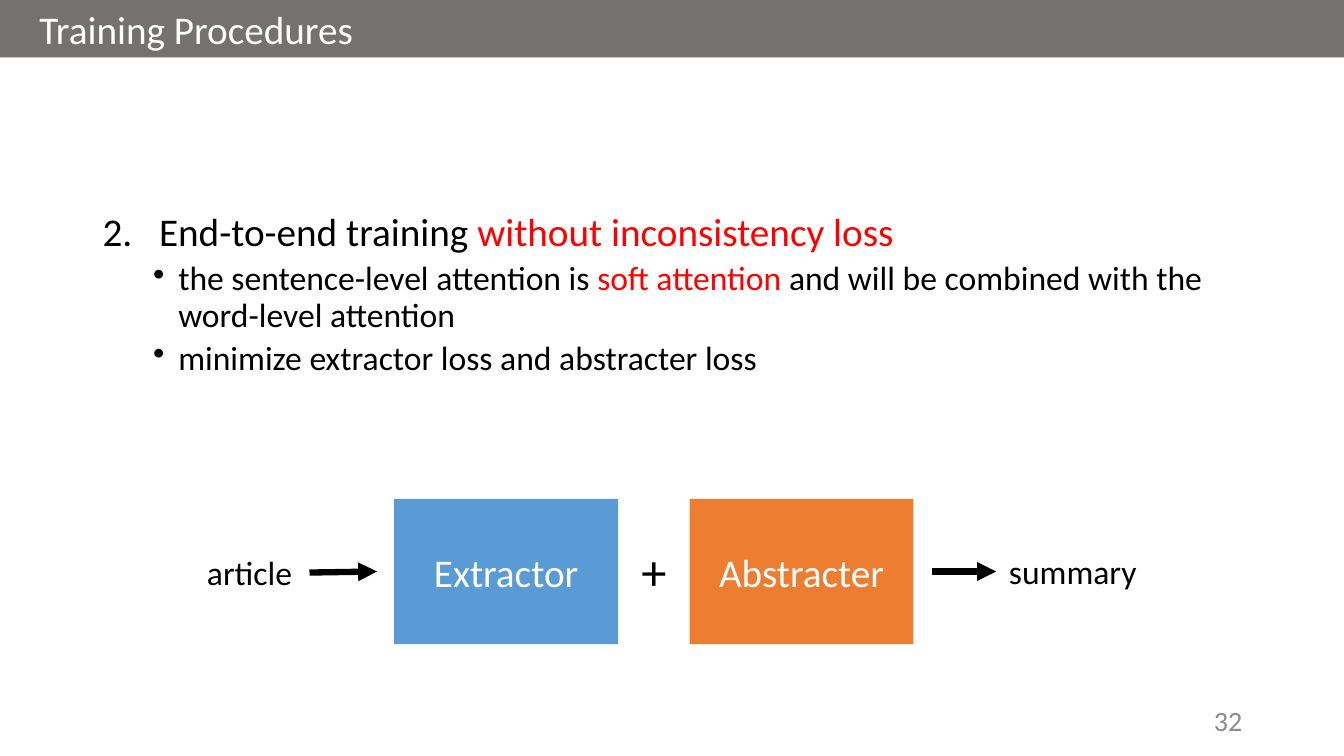
import pptx
import pptx.util
import pptx.dml.color
import pptx.enum.shapes
import pptx.enum.text
import pptx.oxml
import pptx.oxml.ns

Inches, Pt = pptx.util.Inches, pptx.util.Pt
Align, Anchor = pptx.enum.text.PP_ALIGN, pptx.enum.text.MSO_ANCHOR
BLACK, WHITE, RED = "000000", "FFFFFF", "FF0000"


def paint(color, value):
    """Set a fill, line or font colour from a hex string."""
    color.rgb = pptx.dml.color.RGBColor.from_string(value)


def write(para, text, size, value):
    """Add one run of text to a paragraph."""
    run = para.add_run()
    run.text = text
    for key, val in {"name": "Calibri", "size": Pt(size)}.items():
        setattr(run.font, key, val)
    paint(run.font.color, value)


deck = pptx.Presentation()
deck.slide_width, deck.slide_height = Inches(13.33), Inches(7.5)
slide = deck.slides.add_slide(deck.slide_layouts[6])
shapes = slide.shapes

# Title bar and the two model blocks
blocks = [
    ((0, 0, 13.33, 0.57), "767171", "Training Procedures", Align.LEFT, 0.39),
    ((3.91, 4.95, 2.22, 1.44), "5B9BD5", "Extractor", Align.CENTER, 0.1),
    ((6.84, 4.95, 2.22, 1.44), "ED7D31", "Abstracter", Align.CENTER, 0.1),
]
for place, fill, text, align, inset in blocks:
    block = shapes.add_shape(pptx.enum.shapes.MSO_SHAPE.RECTANGLE, *map(Inches, place))
    block.shadow.inherit = False
    block.fill.solid()
    paint(block.fill.fore_color, fill)
    block.line.fill.background()
    frame = block.text_frame
    look = {"vertical_anchor": Anchor.MIDDLE, "word_wrap": True,
            "margin_left": Inches(inset), "margin_right": Inches(inset)}
    for key, val in look.items():
        setattr(frame, key, val)
    frame.paragraphs[0].alignment = align
    write(frame.paragraphs[0], text, 28, WHITE)

# Numbered step with its bullets
body = shapes.add_textbox(*map(Inches, (0.92, 2.06, 11.5, 4.39))).text_frame
body.word_wrap = True
number = '<a:buAutoNum %s type="arabicPeriod" startAt="2"/>'
bullet = '<a:buChar %s char="•"/>'
steps = [
    (0, 0.56, 0.56, 0, 28, number,
     [("End-to-end training ", BLACK), ("without inconsistency loss", RED)]),
    (1, 0.75, 0.25, 5, 24, bullet,
     [("the sentence-level attention is ", BLACK), ("soft attention ", RED),
      ("and will be combined with the word-level attention", BLACK)]),
    (1, 0.75, 0.25, 5, 24, bullet,
     [("minimize extractor loss and abstracter loss", BLACK)]),
]
for i, (level, left, hang, gap, size, mark, runs) in enumerate(steps):
    para = body.add_paragraph() if i else body.paragraphs[0]
    for key, val in {"level": level, "line_spacing": 0.9, "space_before": Pt(gap)}.items():
        setattr(para, key, val)
    props = para._p.get_or_add_pPr()
    props.set("marL", str(Inches(left)))
    props.set("indent", str(-Inches(hang)))
    props.append(pptx.oxml.parse_xml(mark % pptx.oxml.ns.nsdecls("a")))
    for text, value in runs:
        write(para, text, size, value)

# Diagram labels and slide number
labels = [
    ((1.89, 5.43, 1.17, 0.5), "article", 24, BLACK, Align.CENTER, Anchor.TOP),
    ((6.19, 5.31, 0.59, 0.71), "+", 36, BLACK, Align.CENTER, Anchor.TOP),
    ((9.88, 5.42, 1.52, 0.5), "summary", 24, BLACK, Align.CENTER, Anchor.TOP),
    ((9.42, 6.95, 3, 0.4), "32", 20, "8C8C8C", Align.RIGHT, Anchor.MIDDLE),
]
for place, text, size, value, align, anchor in labels:
    frame = shapes.add_textbox(*map(Inches, place)).text_frame
    for key, val in {"word_wrap": True, "vertical_anchor": anchor}.items():
        setattr(frame, key, val)
    frame.paragraphs[0].alignment = align
    write(frame.paragraphs[0], text, size, value)

# Arrows into and out of the model
for ends in [(3.07, 5.68, 3.74, 5.67), (9.24, 5.67, 9.88, 5.67)]:
    arrow = shapes.add_connector(pptx.enum.shapes.MSO_CONNECTOR.STRAIGHT, *map(Inches, ends))
    arrow.line.width = Pt(4.5)
    paint(arrow.line.color, BLACK)
    head = '<a:tailEnd %s type="triangle"/>' % pptx.oxml.ns.nsdecls("a")
    arrow.line._get_or_add_ln().append(pptx.oxml.parse_xml(head))
    plain = "<a:effectLst %s/>" % pptx.oxml.ns.nsdecls("a")
    arrow._element.spPr.append(pptx.oxml.parse_xml(plain))

deck.save("out.pptx")
